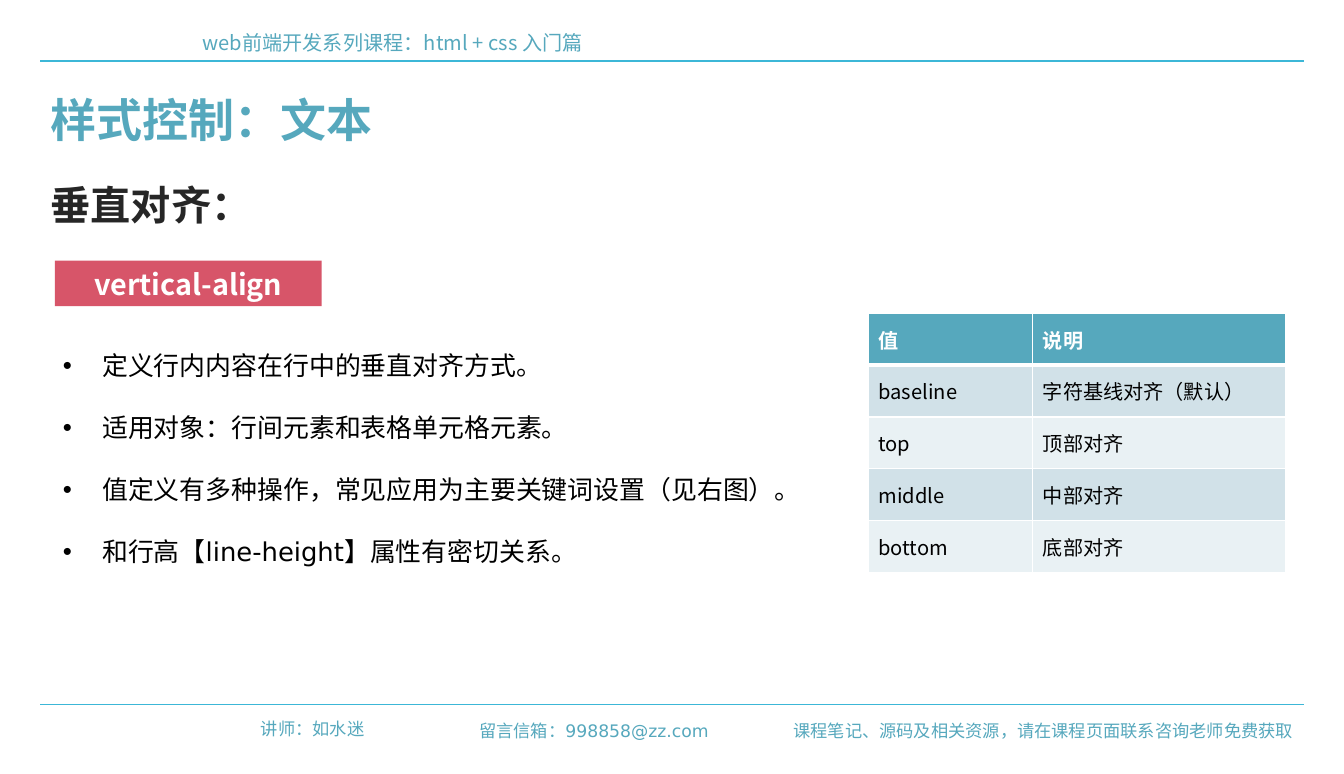
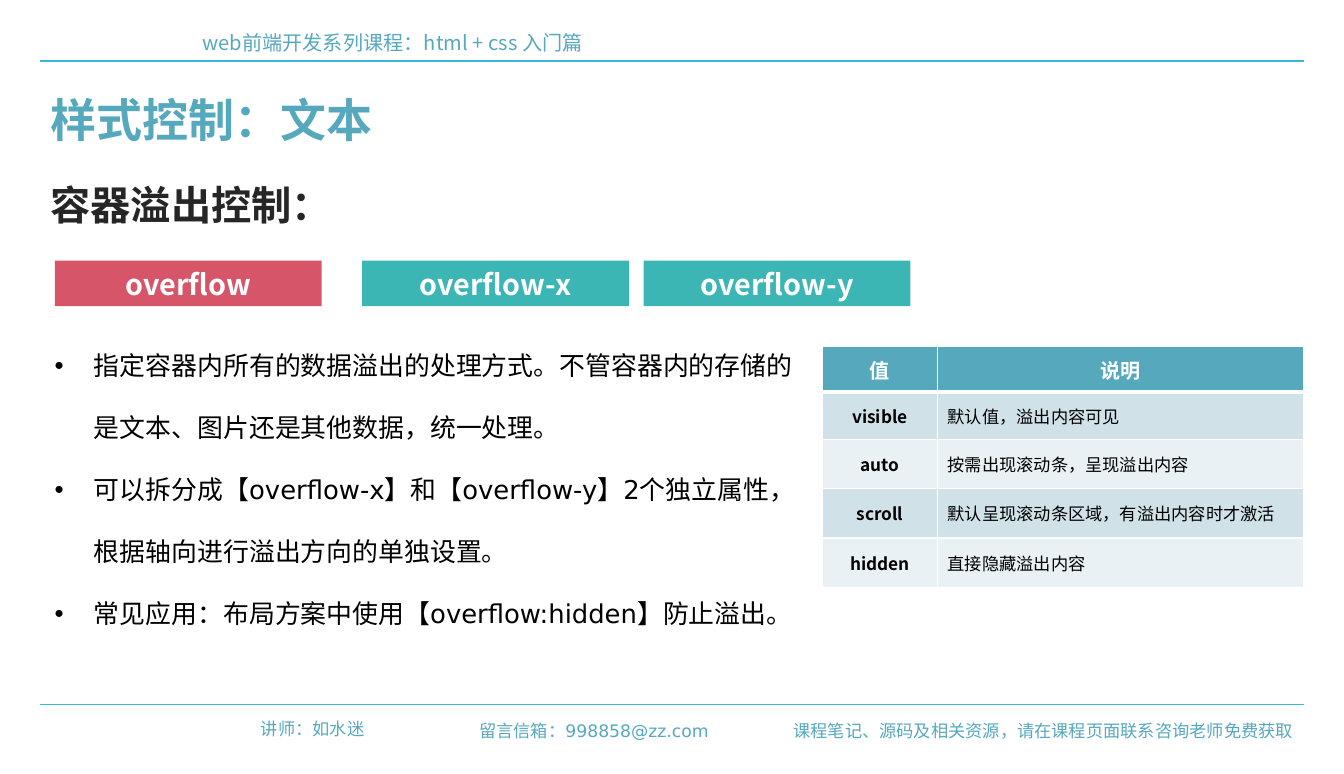
from lxml.etree import SubElement
from pptx import Presentation
from pptx.dml.color import RGBColor
from pptx.enum.shapes import MSO_CONNECTOR, MSO_SHAPE
from pptx.enum.text import MSO_ANCHOR, PP_ALIGN
from pptx.oxml.ns import qn
from pptx.util import Inches, Pt

TEAL, LINE, RED, GREEN = "56A8BD", "3CB7D7", "D75569", "3CB5B5"
INK, BLACK, WHITE = "262626", "000000", "FFFFFF"
BANDS = ["E9F1F4", "D1E1E8"]
NOTO, DEJA = "Noto Sans CJK SC", "DejaVu Sans"
LEFT, MID, RIGHT = PP_ALIGN.LEFT, PP_ALIGN.CENTER, PP_ALIGN.RIGHT

# Text styles: font values, with the colour as a hex string
TITLE = dict(name=DEJA, size=Pt(32), bold=True, hue=TEAL)
HEAD = dict(name=NOTO, size=Pt(28), bold=True, hue=INK)
TOP = dict(name=NOTO, size=Pt(14), bold=False, hue=TEAL)
FOOT = dict(name=DEJA, size=Pt(12), bold=False, hue=TEAL)
BODY = dict(name=DEJA, size=Pt(18), bold=False, hue=BLACK)
CHIP = dict(name=NOTO, size=Pt(20), bold=True, hue=WHITE)
CELL = dict(name=NOTO, size=Pt(14), bold=False, hue=BLACK)

RULES = [0.59, 6.81]
FRAME = [
    ("web前端开发系列课程：html + css 入门篇", (1.86, 0.24, 10.51, 0.34), TOP, LEFT),
    ("讲师：如水迷", (2.24, 6.89, 1.38, 0.3), FOOT, RIGHT),
    ("留言信箱：998858@zz.com", (4.29, 6.91, 2.66, 0.3), FOOT, RIGHT),
    ("课程笔记、源码及相关资源，请在课程页面联系咨询老师免费获取",
     (7.52, 6.91, 5.08, 0.3), FOOT, RIGHT),
]

SLIDES = [
    dict(
        head="垂直对齐：",
        chips=[("vertical-align", 0.53, RED)],
        area=(0.51, 3.03, 8.35, 2.52),
        points=[
            "定义行内内容在行中的垂直对齐方式。",
            "适用对象：行间元素和表格单元格元素。",
            "值定义有多种操作，常见应用为主要关键词设置（见右图）。",
            "和行高【line-height】属性有密切关系。",
        ],
        spot=(8.39, 3.03),
        cols=[1.59, 2.45],
        rows=[0.5] * 5,
        size=14, key=False, align=LEFT,
        cells=[
            ("值", "说明"),
            ("baseline", "字符基线对齐（默认）"),
            ("top", "顶部对齐"),
            ("middle", "中部对齐"),
            ("bottom", "底部对齐"),
        ],
    ),
    dict(
        head="容器溢出控制：",
        chips=[("overflow", 0.53, RED), ("overflow-x", 3.5, GREEN),
               ("overflow-y", 6.22, GREEN)],
        area=(0.43, 3.03, 7.48, 3.13),
        points=[
            "指定容器内所有的数据溢出的处理方式。不管容器内的存储的"
            "是文本、图片还是其他数据，统一处理。",
            "可以拆分成【overflow-x】和【overflow-y】2个独立属性，"
            "根据轴向进行溢出方向的单独设置。",
            "常见应用：布局方案中使用【overflow:hidden】防止溢出。",
        ],
        spot=(7.95, 3.35),
        cols=[1.11, 3.54],
        rows=[0.44, 0.46, 0.47, 0.48, 0.48],
        size=12, key=True, align=MID,
        cells=[
            ("值", "说明"),
            ("visible", "默认值，溢出内容可见"),
            ("auto", "按需出现滚动条，呈现溢出内容"),
            ("scroll", "默认呈现滚动条区域，有溢出内容时才激活"),
            ("hidden", "直接隐藏溢出内容"),
        ],
    ),
]


def paint(color, code):
    """Set a colour from a hex string."""
    color.rgb = RGBColor.from_string(code)


def write(frame, lines, look, align=LEFT):
    """Fill a text frame with one styled paragraph per line."""
    frame.word_wrap = True
    frame.text = "\n".join(lines)
    for para in frame.paragraphs:
        para.alignment = align
        font = para.runs[0].font
        for name, value in look.items():
            if name == "hue":
                paint(font.color, value)
            else:
                setattr(font, name, value)
        SubElement(font._element, qn("a:ea"), typeface=look["name"])


deck = Presentation()
deck.slide_width, deck.slide_height = Inches(12.99), Inches(7.48)

for page in SLIDES:
    slide = deck.slides.add_slide(deck.slide_layouts[5])
    shapes = slide.shapes

    # Rules above and below the content
    for y in RULES:
        rule = shapes.add_connector(MSO_CONNECTOR.STRAIGHT, Inches(0.39),
                                    Inches(y), Inches(12.6), Inches(y))
        rule.line.width = Pt(0.75)
        paint(rule.line.color, LINE)
        SubElement(rule._element.spPr, qn("a:effectLst"))

    # Title
    title = shapes.title
    place = dict(left=0.39, top=0.83, width=12.2, height=0.64)
    for name, value in place.items():
        setattr(title, name, Inches(value))
    write(title.text_frame, ["样式控制：文本"], TITLE)
    title.text_frame.vertical_anchor = MSO_ANCHOR.TOP

    # Header, footer and section heading
    head = (page["head"], (0.39, 1.69, 6.65, 0.57), HEAD, LEFT)
    for text, area, look, align in FRAME + [head]:
        box = shapes.add_textbox(*map(Inches, area))
        write(box.text_frame, [text], look, align)

    # Property chips
    for text, x, code in page["chips"]:
        chip = shapes.add_shape(MSO_SHAPE.RECTANGLE, Inches(x), Inches(2.52),
                                Inches(2.58), Inches(0.44))
        chip.shadow.inherit = False
        chip.fill.solid()
        paint(chip.fill.fore_color, code)
        chip.line.fill.background()
        write(chip.text_frame, [text], CHIP, MID)

    # Bullet points
    box = shapes.add_textbox(*map(Inches, page["area"]))
    write(box.text_frame, page["points"], BODY)
    for para in box.text_frame.paragraphs:
        para.line_spacing = 2.0
        props = para._p.get_or_add_pPr()
        props.set("marL", str(Inches(0.38)))
        props.set("indent", str(-Inches(0.38)))
        SubElement(props, qn("a:buFont"), typeface="Arial")
        SubElement(props, qn("a:buChar"), char="•")

    # Table of values
    cols, rows = page["cols"], page["rows"]
    size = (sum(cols), sum(rows))
    table = shapes.add_table(len(rows), len(cols),
                             *map(Inches, page["spot"] + size)).table
    for col, width in zip(table.columns, cols):
        col.width = Inches(width)
    for r, texts in enumerate(page["cells"]):
        table.rows[r].height = Inches(rows[r])
        for c, text in enumerate(texts):
            cell = table.cell(r, c)
            cell.vertical_anchor = MSO_ANCHOR.MIDDLE
            if r == 0:
                look = dict(CELL, bold=True, hue=WHITE)
            else:
                look = dict(CELL, size=Pt(page["size"]),
                            bold=page["key"] and c == 0)
            align = page["align"] if r == 0 or c == 0 else LEFT
            write(cell.text_frame, [text], look, align)
            props = cell._tc.get_or_add_tcPr()
            for side in "LRTB":
                thick = (r, side) in [(0, "B"), (1, "T")]
                edge = SubElement(props, qn("a:ln" + side),
                                  w=str(Pt(3 if thick else 1)))
                fill = SubElement(edge, qn("a:solidFill"))
                SubElement(fill, qn("a:srgbClr"), val=WHITE)
            cell.fill.solid()
            paint(cell.fill.fore_color, BANDS[r % 2] if r else TEAL)

deck.save("out.pptx")
